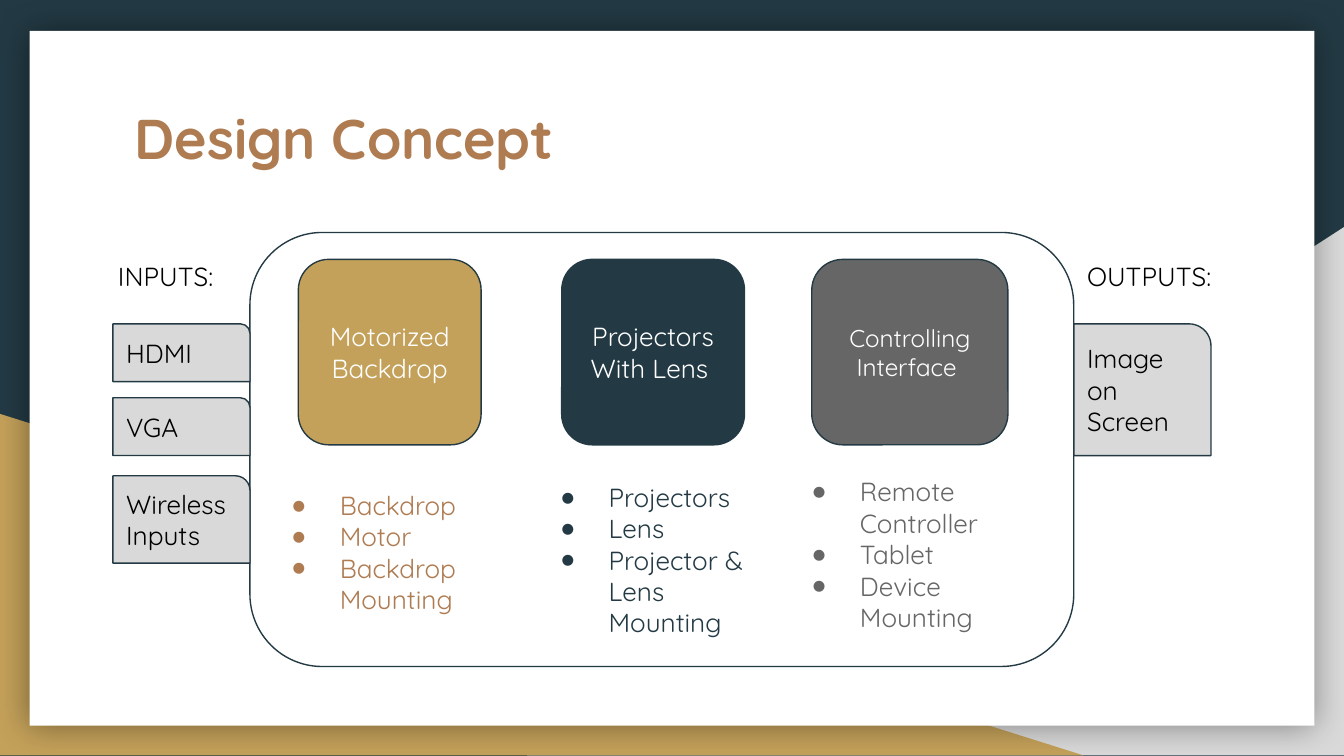
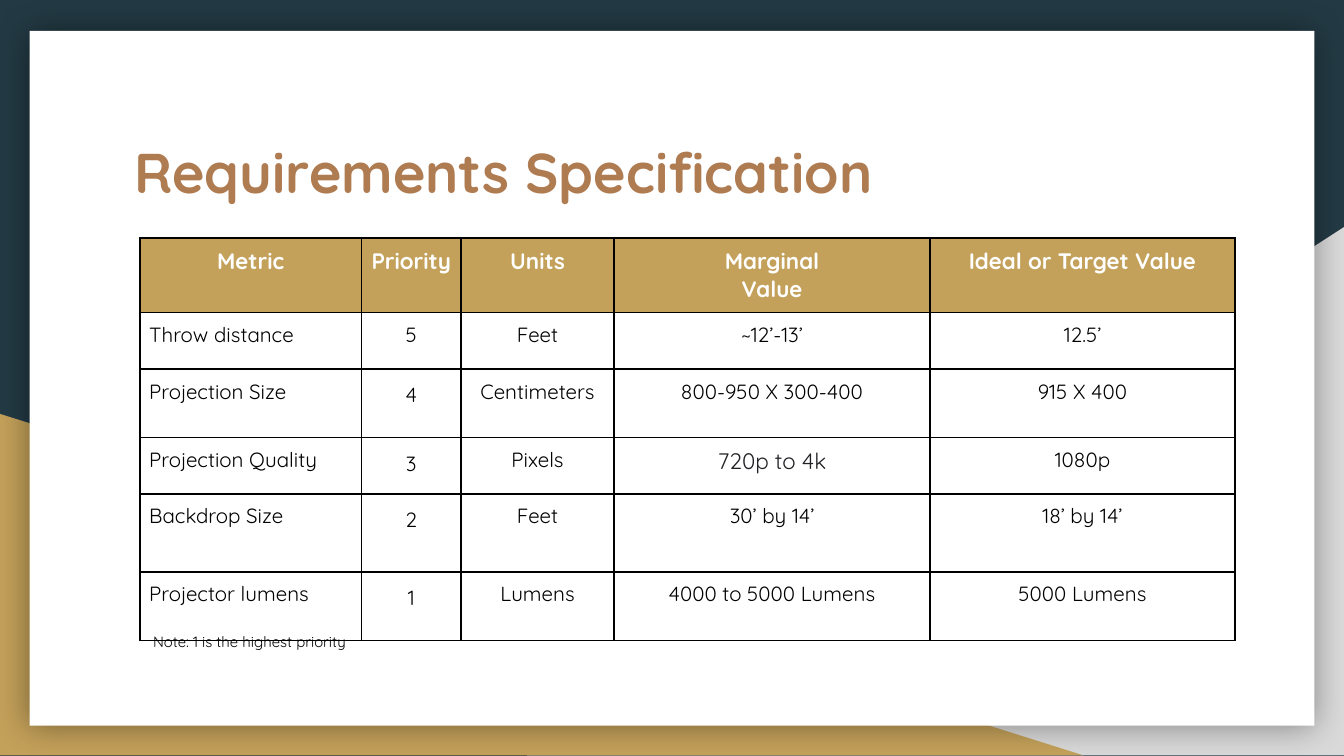
from collections import namedtuple
from lxml.etree import SubElement
from pptx import Presentation
from pptx.dml.color import RGBColor
from pptx.enum.shapes import MSO_SHAPE
from pptx.enum.text import MSO_ANCHOR, MSO_AUTO_SIZE, PP_ALIGN
from pptx.oxml.ns import qn
from pptx.util import Inches, Pt

COLORS = {
    "navy": "233A44",
    "gold": "C4A15A",
    "copper": "AF7B51",
    "silver": "D9D9D9",
    "gray": "666666",
    "ink": "202124",
    "white": "FFFFFF",
    "black": "000000",
}
FONT = "Quicksand"
Box = namedtuple("Box", "left top width height")
SLIDE = Box(0, 0, 10, 10 * 9 / 16)
TITLE = Box(0.9, 0.67, 8.21, 1.04)
SYSTEM = Box(1.86, 1.73, 6.13, 3.23)
TABLE = Box(1.04, 1.77, 8.15, 2.98)

FRAME_FORMAT = {
    "word_wrap": True,
    "margin_left": Inches(0.1),
    "margin_right": Inches(0.1),
    "margin_top": Inches(0.1),
    "margin_bottom": Inches(0.1),
    "auto_size": MSO_AUTO_SIZE.NONE,
    "vertical_anchor": MSO_ANCHOR.TOP,
}
CELL_FORMAT = {
    "margin_left": Inches(0.07),
    "margin_right": Inches(0.07),
    "margin_top": Inches(0.07),
    "margin_bottom": Inches(0.07),
    "vertical_anchor": MSO_ANCHOR.TOP,
}

MODULES = [
    ("Motorized Backdrop", "gold", 14, 0.36, 1.36,
     "copper", 0.07, 1.81, 1.14, ["Backdrop", "Motor", "Backdrop Mounting"]),
    ("Projectors With Lens ", "navy", 14, 2.32, 1.36,
     "navy", 2.07, 1.75, 1.38, ["Projectors", "Lens", "Projector & Lens Mounting"]),
    ("Controlling Interface ", "gray", 13, 4.18, 1.46,
     "gray", 3.94, 1.71, 1.38, ["Remote Controller", "Tablet", "Device Mounting"]),
]
INPUTS = [(0.57, 0.43, ["HDMI"]), (1.12, 0.43, ["VGA"]), (1.7, 0.65, ["Wireless", "Inputs"])]
OUTPUTS = [(0.57, 0.98, ["Image on Screen"])]

COLUMN_WIDTHS = [1.65, 0.74, 1.14, 2.35, 2.27]
ROW_HEIGHTS = [0.55, 0.42, 0.51, 0.42, 0.58, 0.51]
REQUIREMENTS = [
    ["Metric", "Priority", "Units", "Marginal\nValue", "Ideal or Target Value"],
    ["Throw distance", "5", "Feet", "~12’-13’", "12.5’"],
    ["Projection Size", "4", "Centimeters", "800-950 X 300-400", "915 X 400"],
    ["Projection Quality", "3", "Pixels", "720p to 4k", "1080p"],
    ["Backdrop Size", "2", "Feet", "30’ by 14’", "18’ by 14’"],
    ["Projector lumens", "1", "Lumens", "4000 to 5000 Lumens", "5000 Lumens"],
]


def rgb(color):
    return RGBColor.from_string(COLORS[color])


def apply_format(target, values):
    for attribute, value in values.items():
        setattr(target, attribute, value)


def inches(box):
    return [Inches(round(length, 2)) for length in box]


def add_bullet(paragraph, color):
    properties = paragraph._p.get_or_add_pPr()
    properties.set("marL", str(Inches(0.5)))
    properties.set("indent", str(Inches(-0.35)))
    SubElement(SubElement(properties, qn("a:buClr")), qn("a:srgbClr"), val=COLORS[color])
    SubElement(properties, qn("a:buSzPct"), val="55000")
    SubElement(properties, qn("a:buFont"), typeface=FONT)
    SubElement(properties, qn("a:buChar"), char="●")


def write(frame, lines, color, size=14, align=PP_ALIGN.LEFT, bold=False, bullets=False):
    frame.text = "\n".join(lines)
    for paragraph in frame.paragraphs:
        if bullets:
            add_bullet(paragraph, color)
        paragraph.alignment = align
        for run in paragraph.runs:
            apply_format(run.font, {"name": FONT, "size": Pt(size), "bold": bold})
            run.font.color.rgb = rgb(color)


def add_panel(slide, kind, box, fill, line=None):
    panel = slide.shapes.add_shape(kind, *inches(box))
    panel.shadow.inherit = False
    panel.fill.solid()
    panel.fill.fore_color.rgb = rgb(fill)
    if line:
        panel.line.color.rgb = rgb(line)
        panel.line.width = Pt(0.75)
    else:
        panel.line.fill.background()
    apply_format(panel.text_frame, {**FRAME_FORMAT, "vertical_anchor": MSO_ANCHOR.MIDDLE})
    return panel


def add_text(slide, box, lines, color, **style):
    frame = slide.shapes.add_textbox(*inches(box)).text_frame
    apply_format(frame, {**FRAME_FORMAT, "auto_size": MSO_AUTO_SIZE.SHAPE_TO_FIT_TEXT})
    write(frame, lines, color, **style)


def add_glow(panel):
    effects = panel._element.spPr.find(qn("a:effectLst"))
    glow = SubElement(effects, qn("a:outerShdw"), blurRad=str(Pt(18)), dist="0",
                      dir="0", algn="bl", rotWithShape="0")
    color = SubElement(glow, qn("a:srgbClr"), val=COLORS["black"])
    SubElement(color, qn("a:alpha"), val="40000")


def build_backdrop(layout, slide, box):
    layout.background.fill.solid()
    layout.background.fill.fore_color.rgb = rgb("navy")
    for placeholder in list(layout.placeholders)[1:]:
        placeholder._element.getparent().remove(placeholder._element)
    right, bottom = box.left + box.width, box.top + box.height
    silver_corner = add_panel(slide, MSO_SHAPE.RIGHT_TRIANGLE,
                              Box(right - 6.08, bottom - 3.93, 6.08, 3.93), "silver")
    silver_corner._element.spPr.xfrm.set("flipH", "1")
    gold_corner = add_panel(slide, MSO_SHAPE.RIGHT_TRIANGLE,
                            Box(box.left, bottom - 2.54, 8.06, 2.54), "gold")
    page = add_panel(slide, MSO_SHAPE.RECTANGLE,
                     Box(box.left + 0.22, box.top + 0.23, 9.56, 5.17), "white")
    add_glow(page)
    for position, part in enumerate([silver_corner, gold_corner, page], start=2):
        layout.shapes._spTree.insert(position, part._element)


def build_title(slide, box, text):
    title = slide.shapes.title
    apply_format(title, dict(zip(box._fields, inches(box))))
    apply_format(title.text_frame, FRAME_FORMAT)
    write(title.text_frame, [text], "copper", size=30, bold=True)


def build_ports(slide, box, heading, heading_box, ports):
    add_text(slide, heading_box, [heading], "black")
    for offset, height, lines in ports:
        port = add_panel(slide, MSO_SHAPE.ROUND_1_RECTANGLE,
                         Box(box.left, box.top + offset, box.width, height), "silver", "navy")
        write(port.text_frame, lines, "black")


def build_system(slide, box):
    add_panel(slide, MSO_SHAPE.ROUNDED_RECTANGLE, box, "white", "navy")
    for name, fill, size, left, width, color, list_left, list_top, list_height, parts in MODULES:
        module = add_panel(slide, MSO_SHAPE.ROUNDED_RECTANGLE,
                           Box(box.left + left, box.top + 0.2, width, 1.38), fill, "navy")
        write(module.text_frame, [name], "white", size=size, align=PP_ALIGN.CENTER)
        add_text(slide, Box(box.left + list_left, box.top + list_top, 1.93, list_height),
                 parts, color, bullets=True)


def build_concept(slide, box):
    build_system(slide, box)
    right, top = box.left + box.width, box.top + 0.11
    build_ports(slide, Box(box.left - 1.02, top, 1.02, 2.35), "INPUTS:",
                Box(box.left - 1.08, top, 0.94, 0.44), INPUTS)
    build_ports(slide, Box(right, top, 1.02, 1.55), "OUTPUTS:",
                Box(right, top, 1.54, 0.44), OUTPUTS)


def add_borders(cell):
    properties = cell._tc.get_or_add_tcPr()
    for side in ("lnL", "lnR", "lnT", "lnB"):
        border = SubElement(properties, qn(f"a:{side}"), w=str(Pt(1)))
        fill = SubElement(border, qn("a:solidFill"))
        SubElement(fill, qn("a:srgbClr"), val=COLORS["black"])


def build_requirements(slide, box):
    table = slide.shapes.add_table(len(ROW_HEIGHTS), len(COLUMN_WIDTHS), *inches(box)).table
    apply_format(table, {"first_row": False, "horz_banding": False})
    for column, width in zip(table.columns, COLUMN_WIDTHS):
        column.width = Inches(width)
    for row_index, (height, entries) in enumerate(zip(ROW_HEIGHTS, REQUIREMENTS)):
        table.rows[row_index].height = Inches(height)
        header = row_index == 0
        for column_index, entry in enumerate(entries):
            cell = table.cell(row_index, column_index)
            apply_format(cell, CELL_FORMAT)
            add_borders(cell)
            if header:
                cell.fill.solid()
                cell.fill.fore_color.rgb = rgb("gold")
            else:
                cell.fill.background()
            resolution = entry == "720p to 4k"
            color = "white" if header else "ink" if resolution else "black"
            align = PP_ALIGN.CENTER if header or column_index else PP_ALIGN.LEFT
            write(cell.text_frame, entry.split("\n"), color,
                  size=12 if header or resolution else 11, align=align, bold=header)
            if row_index > 1 and column_index == 1:
                cell.text_frame.paragraphs[0].line_spacing = 1.15
    add_text(slide, Box(box.left, box.top + 2.87, 3.78, 0.34),
             ["Note: 1 is the highest priority"], "black", size=8)


def main():
    deck = Presentation()
    deck.slide_width, deck.slide_height = Inches(SLIDE.width), Inches(SLIDE.height)
    layout = deck.slide_layouts[5]

    concept = deck.slides.add_slide(layout)
    build_backdrop(layout, concept, SLIDE)
    build_title(concept, TITLE, "Design Concept")
    build_concept(concept, SYSTEM)

    requirements = deck.slides.add_slide(layout)
    build_title(requirements, TITLE._replace(top=0.92), "Requirements Specification")
    build_requirements(requirements, TABLE)

    deck.save("out.pptx")


if __name__ == "__main__":
    main()
